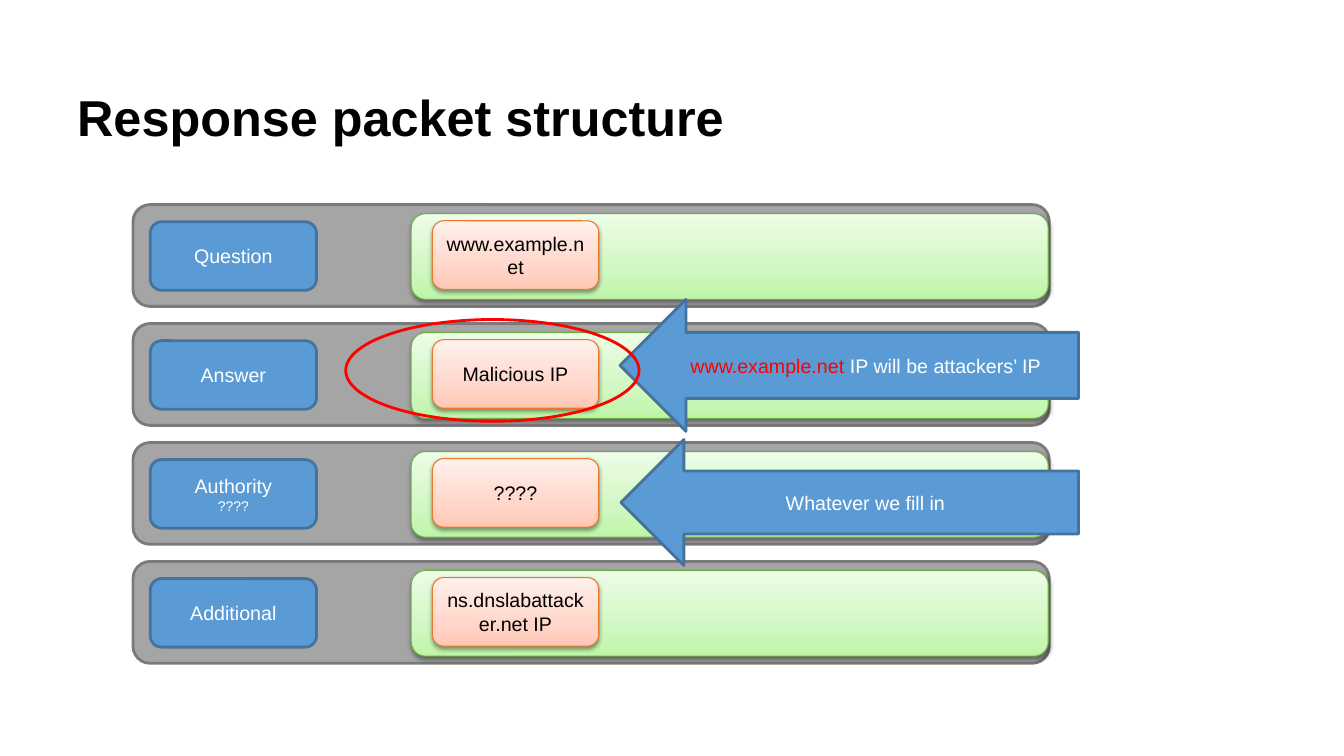
import copy

import lxml.etree
import pptx
import pptx.dml.color
import pptx.enum.shapes
import pptx.enum.text
import pptx.oxml.ns
import pptx.util

SHAPE = pptx.enum.shapes.MSO_SHAPE
ANCHOR = pptx.enum.text.MSO_ANCHOR
ALIGN = pptx.enum.text.PP_ALIGN
COLUMNS, ROWS = 40, 22.5
BLUE, BLUE_EDGE = "5B9BD5", "43739E"
GREEN, GREEN_EDGE = ("BEF5A7", "D1F7C2", "EDFDE7"), "6DAC43"
PINK, PINK_EDGE = ("FFC7B6", "FFD7CB", "FFF0EB"), "EC792B"
WHITE, BLACK, RED = "FFFFFF", "000000", "FF0000"

deck = pptx.Presentation()
deck.slide_width = pptx.util.Inches(13.333)
deck.slide_height = pptx.util.Inches(7.5)
slide = deck.slides.add_slide(deck.slide_layouts[6])


def rgb(value):
    """Turn a hex string into a colour."""
    return pptx.dml.color.RGBColor.from_string(value)


def place(box):
    """Convert left, top, width and height in grid cells to slide lengths."""
    column, row = deck.slide_width / COLUMNS, deck.slide_height / ROWS
    return [round(cells * unit) for cells, unit in zip(box, (column, row, column, row))]


def within(box, left, top, width, height):
    """Offset a part from the top left corner of its box."""
    return box[0] + left, box[1] + top, width, height


def write(frame, paragraphs, align=ALIGN.CENTER, anchor=ANCHOR.MIDDLE, bold=False):
    """Fill a text frame with paragraphs of (text, size, colour) runs."""
    frame.word_wrap = True
    frame.vertical_anchor = anchor
    for index, runs in enumerate(paragraphs):
        paragraph = frame.add_paragraph() if index else frame.paragraphs[0]
        paragraph.alignment = align
        for text, size, colour in runs:
            run = paragraph.add_run()
            run.text = text
            run.font.name = "Arial"
            run.font.size = pptx.util.Pt(size)
            run.font.bold = bold
            run.font.color.rgb = rgb(colour)


def add_block(kind, box, fill, edge, edge_width=2, paragraphs=()):
    """Draw an outlined shape with an optional solid fill and text."""
    block = slide.shapes.add_shape(kind, *place(box))
    block.shadow.inherit = False
    if fill:
        block.fill.solid()
        block.fill.fore_color.rgb = rgb(fill)
    else:
        block.fill.background()
    block.line.color.rgb = rgb(edge)
    block.line.width = pptx.util.Pt(edge_width)
    write(block.text_frame, paragraphs)
    return block


def add_raised_block(box, shades, edge, paragraphs=()):
    """Draw a rounded block with a vertical gradient and a soft shadow."""
    block = add_block(SHAPE.ROUNDED_RECTANGLE, box, shades[0], edge, 0.75, paragraphs)
    qn = pptx.oxml.ns.qn
    block.fill.gradient()
    block.fill.gradient_angle = 90
    stops = block._element.spPr.find(qn("a:gradFill")).find(qn("a:gsLst"))
    stops.insert(1, copy.deepcopy(stops[0]))
    for stop, shade, position in zip(block.fill.gradient_stops, shades, (0, 0.35, 1)):
        stop.color.rgb = rgb(shade)
        stop.position = position
    effects = block._element.spPr.find(qn("a:effectLst"))
    shadow = lxml.etree.SubElement(
        effects, qn("a:outerShdw"), blurRad=str(pptx.util.Pt(3.1)),
        dist=str(pptx.util.Pt(1.6)), dir="5400000", rotWithShape="0")
    tint = lxml.etree.SubElement(shadow, qn("a:srgbClr"), val=BLACK)
    lxml.etree.SubElement(tint, qn("a:alpha"), val="38000")


def add_title(box, text):
    """Place the slide title at the bottom of its box."""
    title = slide.shapes.add_textbox(*place(box)).text_frame
    title.margin_left = title.margin_right = pptx.util.Inches(0.1)
    title.margin_top = title.margin_bottom = pptx.util.Inches(0.1)
    write(title, [[(text, 36, BLACK)]], ALIGN.LEFT, ANCHOR.BOTTOM, True)


def add_section(box, name, content, note=None):
    """Draw one packet section: bar, name label, green panel and content card."""
    label = [[(name, 14, WHITE)]] + ([[(note, 10, WHITE)]] if note else [])
    add_block(SHAPE.ROUNDED_RECTANGLE, box, "A5A5A5", "7A7A7A")
    add_block(SHAPE.ROUNDED_RECTANGLE, within(box, 0.51, 0.51, 4.95, 2.04),
              BLUE, BLUE_EDGE, paragraphs=label)
    add_raised_block(within(box, 8.28, 0.27, 18.96, 2.55), GREEN, GREEN_EDGE)
    add_raised_block(within(box, 8.91, 0.48, 4.95, 2.04), PINK, PINK_EDGE,
                     [[(content, 14, BLACK)]])


def add_callout(box, *runs):
    """Draw a left arrow that explains a section."""
    add_block(SHAPE.LEFT_ARROW, box, BLUE, BLUE_EDGE,
              paragraphs=[[(text, 14, colour) for text, colour in runs]])


SECTIONS = [
    ("Question", "www.example.net"),
    ("Answer", "Malicious IP"),
    ("Authority", "????", "????"),
    ("Additional", "ns.dnslabattacker.net IP"),
]

add_title((2, 0.9, 36, 3.75), "Response packet structure")
for order, section in enumerate(SECTIONS):
    add_section((3.96, 6.09 + 3.54 * order, 27.27, 3.03), *section)
add_callout((18.48, 13.08, 13.62, 3.75), ("Whatever we fill in", WHITE))
add_callout((18.45, 8.91, 13.65, 3.93),
            ("www.example.net ", RED), ("IP will be attackers’ IP", WHITE))
add_block(SHAPE.OVAL, (10.29, 9.51, 8.73, 3.03), None, RED)

deck.save("out.pptx")
